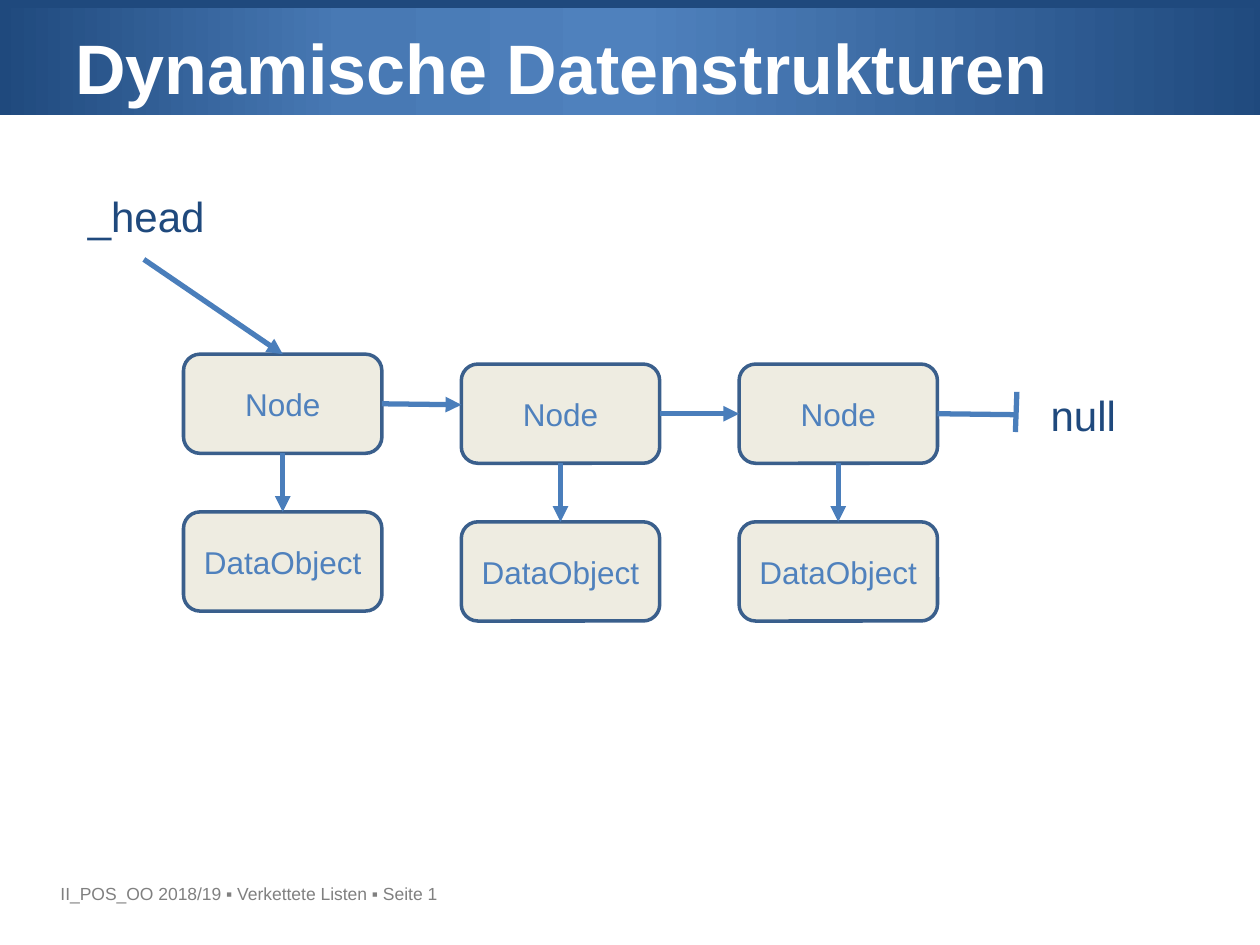
from lxml import etree
from pptx import Presentation
from pptx.dml.color import RGBColor
from pptx.enum.shapes import MSO_CONNECTOR, MSO_SHAPE
from pptx.enum.text import MSO_ANCHOR, PP_ALIGN
from pptx.oxml.ns import qn
from pptx.util import Cm, Pt

RECTANGLE, ROUNDED = MSO_SHAPE.RECTANGLE, MSO_SHAPE.ROUNDED_RECTANGLE
STRAIGHT = MSO_CONNECTOR.STRAIGHT
MIDDLE, CENTER = MSO_ANCHOR.MIDDLE, PP_ALIGN.CENTER
TOP, LEFT, BOTTOM, RIGHT = range(4)

NAVY = RGBColor(0x1F, 0x49, 0x7D)
STEEL = RGBColor(0x48, 0x79, 0xB4)
BLUE = RGBColor(0x4F, 0x81, 0xBD)
ARROW = RGBColor(0x4A, 0x7E, 0xBB)
OUTLINE = RGBColor(0x3A, 0x5F, 0x8C)
CREAM = RGBColor(0xEE, 0xEC, 0xE1)
GREY = RGBColor(0x80, 0x80, 0x80)
WHITE = RGBColor(0xFF, 0xFF, 0xFF)

# Node diagram, in centimetres
NODE_W, NODE_H = 4, 2
NODE_STEP, DATA_DROP = 5.6, 3.18


def add_span(para, text, size, color, bold=False):
    span = para.add_run()
    span.text = text
    span.font.name = "Arial"
    span.font.size = Pt(size)
    span.font.bold = bold
    span.font.color.rgb = color


def add_label(page, x, y, w, h, text, size, color, bold=False):
    box = page.shapes.add_textbox(Cm(x), Cm(y), Cm(w), Cm(h))
    box.text_frame.word_wrap = True
    add_span(box.text_frame.paragraphs[0], text, size, color, bold)


def add_bar(page, x, y, w, h):
    bar = page.shapes.add_shape(RECTANGLE, Cm(x), Cm(y), Cm(w), Cm(h))
    bar.shadow.inherit = False
    bar.line.fill.background()
    return bar


def add_link(page, x1, y1, x2, y2, arrow=True):
    link = page.shapes.add_connector(STRAIGHT, Cm(x1), Cm(y1), Cm(x2), Cm(y2))
    link.line.color.rgb = ARROW
    link.line.width = Pt(3)
    if arrow:
        etree.SubElement(link.line._get_or_add_ln(), qn("a:tailEnd"), type="triangle")
    etree.SubElement(link._element.spPr, qn("a:effectLst"))
    return link


def add_node_box(page, x, y, text):
    box = page.shapes.add_shape(ROUNDED, Cm(x), Cm(y), Cm(NODE_W), Cm(NODE_H))
    box.shadow.inherit = False
    box.fill.solid()
    box.fill.fore_color.rgb = CREAM
    box.line.color.rgb = OUTLINE
    box.line.width = Pt(2)
    box.text_frame.word_wrap = True
    box.text_frame.vertical_anchor = MIDDLE
    para = box.text_frame.paragraphs[0]
    para.alignment = CENTER
    add_span(para, text, 18, BLUE)
    return box


def add_header(page, x, y, w, h):
    # Gradient band
    band = add_bar(page, x, y, w, h)
    band.fill.gradient()
    band.fill.gradient_angle = 0
    stops = band._element.spPr.find(qn("a:gradFill")).find(qn("a:gsLst"))
    for stop in list(stops):
        stops.remove(stop)
    for percent, color in ((0, NAVY), (27, STEEL), (50, BLUE), (100, NAVY)):
        stop = etree.SubElement(stops, qn("a:gs"), pos=str(percent * 1000))
        etree.SubElement(stop, qn("a:srgbClr"), val=str(color))

    # Dark strip along the top edge
    strip = add_bar(page, x, y - 0.05, w, 0.23)
    strip.fill.solid()
    strip.fill.fore_color.rgb = NAVY

    add_label(page, x + 1.29, y + 0.38, 22.86, 3.18,
              "Dynamische Datenstrukturen", 40, WHITE, bold=True)


def add_node_column(page, x, y):
    node = add_node_box(page, x, y, "Node")
    data = add_node_box(page, x, y + DATA_DROP, "DataObject")
    middle = x + NODE_W / 2
    link = add_link(page, middle, y + NODE_H, middle, y + DATA_DROP)
    link.begin_connect(node, BOTTOM)
    link.end_connect(data, TOP)
    return node


def add_linked_list(page, x, y):
    # The first node sits a little higher than the others
    drops = (0, 0.2, 0.2)
    nodes = [add_node_column(page, x + i * NODE_STEP, y + drop)
             for i, drop in enumerate(drops)]

    # Links to the next node, the last one to the null bar
    for i, drop in enumerate(drops):
        start = x + i * NODE_STEP + NODE_W
        side = y + drop + NODE_H / 2
        last = i == len(nodes) - 1
        link = add_link(page, start, side, x + (i + 1) * NODE_STEP, side + 0.02, not last)
        link.begin_connect(nodes[i], RIGHT)
        if not last and drops[i + 1] == drop:
            link.end_connect(nodes[i + 1], LEFT)

    # Head pointer
    add_label(page, x - 2.18, y - 3.42, 3.2, 1.27, "_head", 24, NAVY)
    pointer = add_link(page, x - 0.8, y - 1.91, x + NODE_W / 2, y)
    pointer.end_connect(nodes[0], TOP)

    # Null terminator
    end = x + len(nodes) * NODE_STEP
    add_link(page, end - 0.03, y + 1.57, end, y + 0.76, arrow=False)
    add_label(page, end + 0.43, y + 0.58, 2.2, 1.27, "null", 24, NAVY)


def main():
    deck = Presentation()
    deck.slide_width, deck.slide_height = Cm(25.4), Cm(19.05)
    page = deck.slides.add_slide(deck.slide_layouts[6])
    add_header(page, -0.02, -0.02, 25.7, 2.35)
    add_linked_list(page, 3.7, 7.14)
    # Footer
    add_label(page, 0.97, 17.68, 9.5, 0.66,
              "II_POS_OO 2018/19 ▪ Verkettete Listen ▪ Seite 1", 10, GREY)
    deck.save("out.pptx")


if __name__ == "__main__":
    main()
